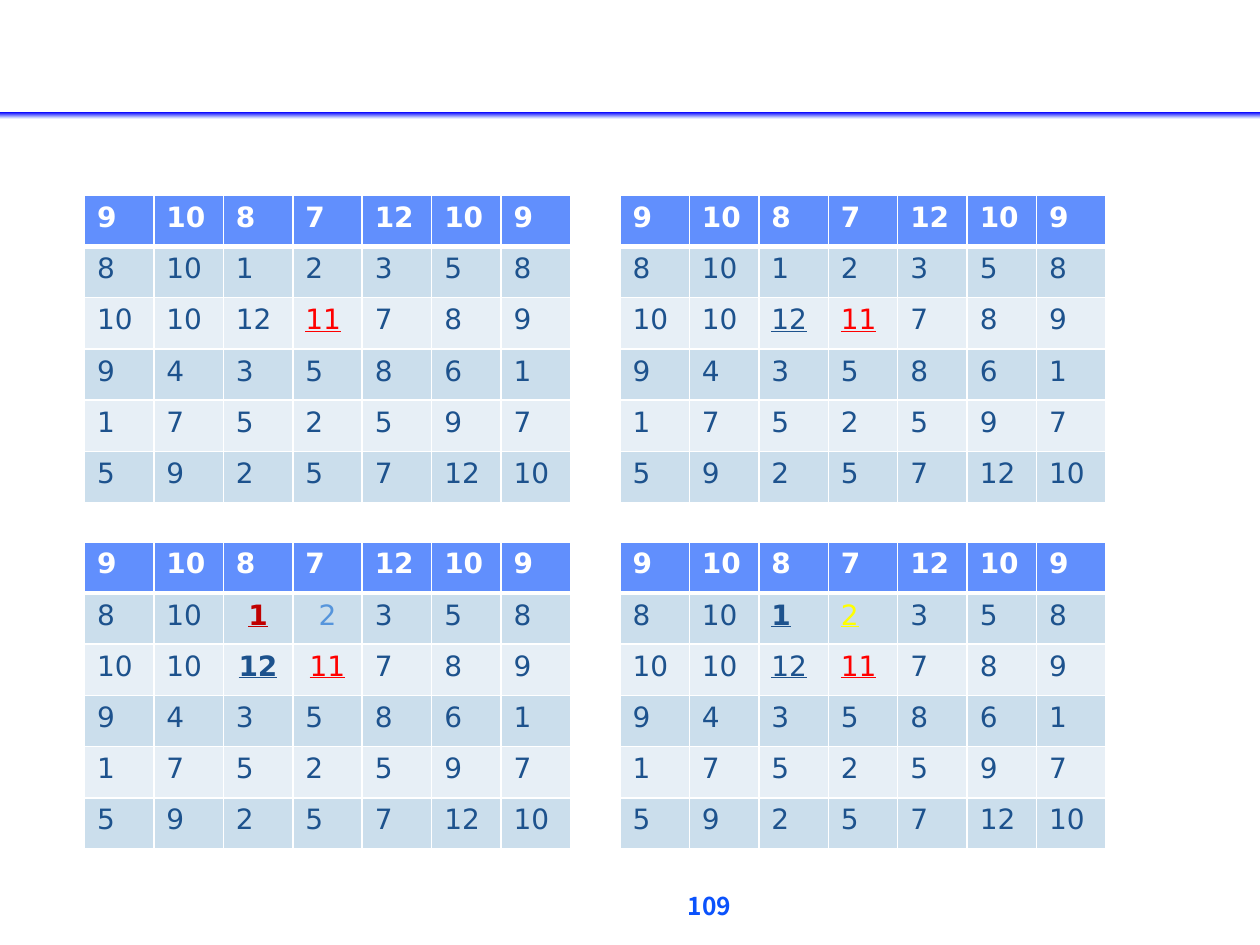
"""Build a slide with four number grids that mark the steps of a neighbourhood search."""
from copy import deepcopy

from lxml import etree
from pptx import Presentation
from pptx.dml.color import RGBColor
from pptx.enum.shapes import MSO_SHAPE
from pptx.enum.text import MSO_AUTO_SIZE, PP_ALIGN
from pptx.oxml.ns import qn
from pptx.util import Inches, Pt

RECTANGLE = MSO_SHAPE.RECTANGLE
CENTER = PP_ALIGN.CENTER
GROW = MSO_AUTO_SIZE.SHAPE_TO_FIT_TEXT

COLORS = {
    "white": "FFFFFF", "header": "618FFD", "odd_row": "CBDEEC", "even_row": "E7EFF6",
    "text": "1D528D", "red": "FF0000", "dark_red": "C00000", "light_blue": "5695DC",
    "yellow": "FFFF00", "page_number": "0B52FC",
}
RULE_STOPS = [(0, "0000FF"), (0.89, "CCD6FF"), (1, "E6EBFF")]
TABLE_FONT = "DejaVu Sans"
PAGE_FONT = "Noto Sans CJK SC"
PAGE_NUMBER = "109"

GRID = [
    [9, 10, 8, 7, 12, 10, 9],
    [8, 10, 1, 2, 3, 5, 8],
    [10, 10, 12, 11, 7, 8, 9],
    [9, 4, 3, 5, 8, 6, 1],
    [1, 7, 5, 2, 5, 9, 7],
    [5, 9, 2, 5, 7, 12, 10],
]
RED_MARK = {"color": "red", "underline": True}
UNDERLINE = {"underline": True}
MARKS = [
    {(2, 3): RED_MARK},
    {(2, 2): UNDERLINE, (2, 3): RED_MARK},
    {
        (1, 2): {"color": "dark_red", "bold": True, "underline": True, "center": True},
        (1, 3): {"color": "light_blue", "center": True},
        (2, 2): {"bold": True, "underline": True, "center": True},
        (2, 3): {**RED_MARK, "center": True},
    },
    {
        (1, 2): {"bold": True, "underline": True},
        (1, 3): {"color": "yellow", "underline": True},
        (2, 2): UNDERLINE,
        (2, 3): RED_MARK,
    },
]
TABLE_LEFT, TABLE_TOP = 0.67, 1.55
TABLE_WIDTH, TABLE_HEIGHT = 3.86, 2.44
STEP_X, STEP_Y = 4.25, 2.75


def rgb(name):
    return RGBColor.from_string(COLORS[name])


def add_rule(slide):
    shape = slide.shapes.add_shape(RECTANGLE, 0, Inches(0.89), Inches(10), Inches(0.05))
    shape.shadow.inherit = False
    shape.line.fill.background()
    shape.fill.gradient()
    shape.fill.gradient_angle = 270
    stop_list = shape._element.spPr.find(".//" + qn("a:gsLst"))
    stop_list.append(deepcopy(stop_list[-1]))
    for stop, (position, color) in zip(shape.fill.gradient_stops, RULE_STOPS):
        stop.position = position
        stop.color.rgb = RGBColor.from_string(color)


def add_page_number(slide):
    box = slide.shapes.add_textbox(Inches(3.1), Inches(7.07), Inches(5.06), Inches(0.3))
    text_frame = box.text_frame
    text_frame.word_wrap = True
    text_frame.auto_size = GROW
    text_frame.text = PAGE_NUMBER
    paragraph = text_frame.paragraphs[0]
    paragraph.alignment = CENTER
    paragraph.line_spacing = 0.8
    properties = paragraph._p.get_or_add_pPr()
    properties.set("marL", str(Inches(0.25)))
    properties.set("indent", str(Inches(-0.25)))
    font = paragraph.runs[0].font
    font.name, font.size, font.bold = PAGE_FONT, Pt(14), True
    font.color.rgb = rgb("page_number")


def add_borders(cell, row):
    widths = {"L": 1, "R": 1, "T": 3 if row == 1 else 1, "B": 3 if row == 0 else 1}
    properties = cell._tc.get_or_add_tcPr()
    for side, width in widths.items():
        line = etree.SubElement(properties, qn("a:ln" + side), w=str(Pt(width)))
        fill = etree.SubElement(line, qn("a:solidFill"))
        etree.SubElement(fill, qn("a:srgbClr"), val=COLORS["white"])


def format_cell(cell, row, value, mark):
    add_borders(cell, row)
    cell.fill.solid()
    band = "header" if row == 0 else "odd_row" if row % 2 else "even_row"
    cell.fill.fore_color.rgb = rgb(band)
    cell.text_frame.text = str(value)
    paragraph = cell.text_frame.paragraphs[0]
    if mark.get("center"):
        paragraph.alignment = CENTER
    font = paragraph.runs[0].font
    font.name, font.size = TABLE_FONT, Pt(16)
    font.bold = mark.get("bold", row == 0)
    font.underline = mark.get("underline", False)
    font.color.rgb = rgb(mark.get("color", "text" if row else "white"))


def add_grid(slide, index, marks):
    grid_row, grid_column = divmod(index, 2)
    table = slide.shapes.add_table(
        len(GRID), len(GRID[0]),
        Inches(TABLE_LEFT + grid_column * STEP_X), Inches(TABLE_TOP + grid_row * STEP_Y),
        Inches(TABLE_WIDTH), Inches(TABLE_HEIGHT),
    ).table
    for row, values in enumerate(GRID):
        for column, value in enumerate(values):
            format_cell(table.cell(row, column), row, value, marks.get((row, column), {}))


def main():
    presentation = Presentation()
    presentation.slide_width, presentation.slide_height = Inches(10), Inches(7.5)
    slide = presentation.slides.add_slide(presentation.slide_layouts[6])
    add_page_number(slide)
    add_rule(slide)
    for index, marks in enumerate(MARKS):
        add_grid(slide, index, marks)
    presentation.save("out.pptx")


if __name__ == "__main__":
    main()
